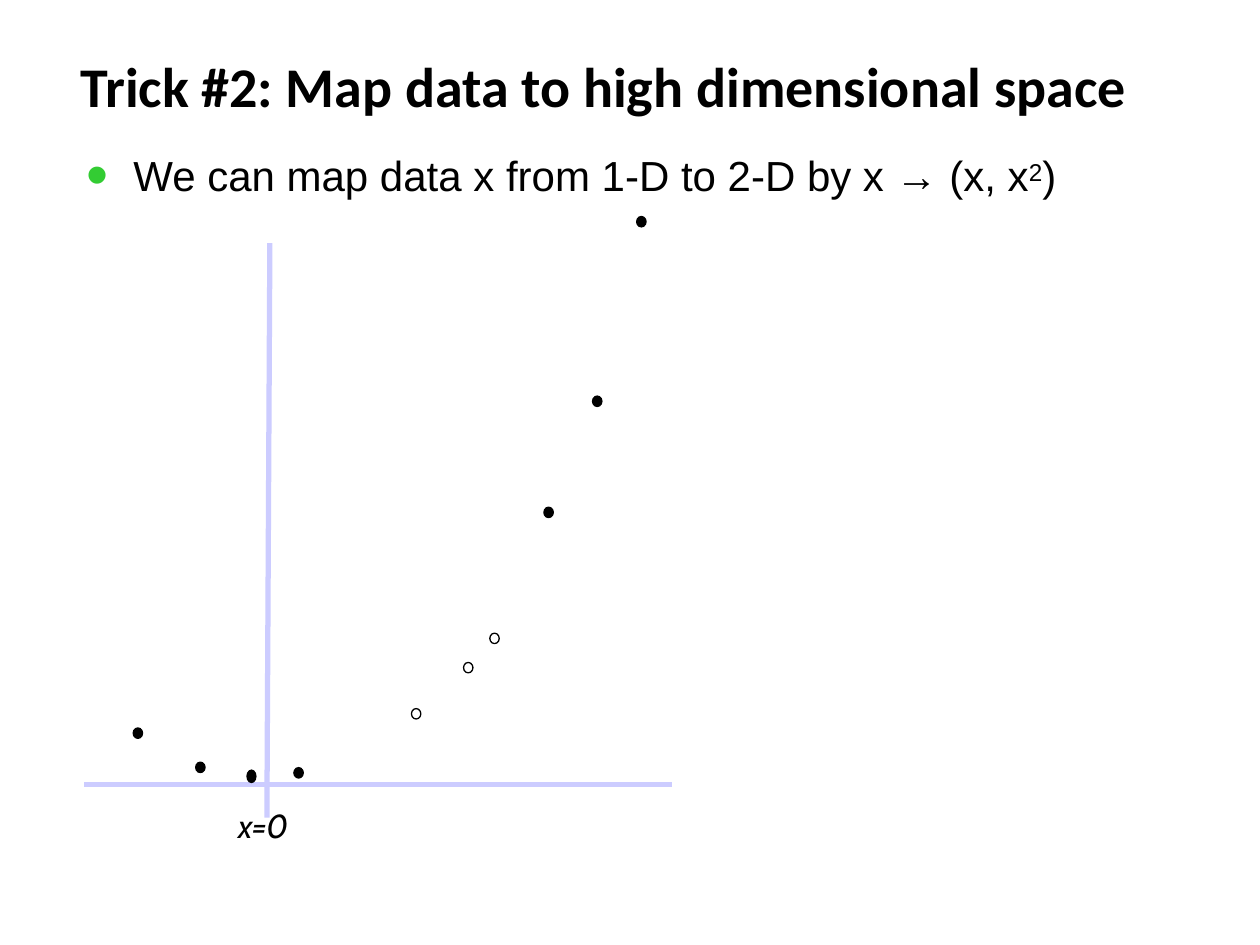
from dataclasses import dataclass

from pptx import Presentation
from pptx.dml.color import RGBColor as RGB
from pptx.enum.shapes import MSO_CONNECTOR as Link, MSO_SHAPE as Shape
from pptx.enum.text import MSO_ANCHOR as Anchor
from pptx.oxml.ns import qn
from pptx.util import Cm, Pt
from lxml.etree import SubElement as Sub


@dataclass(frozen=True)
class Theme:
    ink: RGB = RGB(0, 0, 0)
    axis: RGB = RGB(0xCC, 0xCC, 0xFF)
    bullet: str = "33CC33"
    title: int = 32
    body: int = 24
    label: int = 19
    axis_w: float = 3
    dot_w: float = 0.75


THEME = Theme()

# Centres of the mapped points, in cm
SOLID = [(2.78, 14.78), (4.04, 15.47), (6.02, 15.58),
         (11.06, 10.33), (12.04, 8.09), (12.93, 4.47)]
OPEN = [(8.39, 14.39), (9.44, 13.46), (9.97, 12.87)]
TALL = (5.07, 15.65)


def add_bullet(para):
    props = para._p.get_or_add_pPr()
    props.set("marL", str(Cm(0.99)))
    props.set("indent", str(Cm(-0.94)))
    Sub(Sub(props, qn("a:buClr")), qn("a:srgbClr")).set("val", THEME.bullet)
    Sub(props, qn("a:buSzPct")).set("val", "150000")
    Sub(props, qn("a:buFont")).set("typeface", "Arial")
    Sub(props, qn("a:buChar")).set("char", "•")


def add_text(slide, parts, box, size, font, bold=False, italic=False,
             wrap=True, anchor=Anchor.TOP, bullet=False, space=0):
    """Add one paragraph; parts are (text, baseline percent) pairs."""
    frame = slide.shapes.add_textbox(*map(Cm, box)).text_frame
    frame.margin_left = frame.margin_right = 0
    frame.margin_top = frame.margin_bottom = 0
    frame.word_wrap = wrap
    frame.vertical_anchor = anchor
    para = frame.paragraphs[0]
    if bullet:
        add_bullet(para)
    for text, base in parts:
        run = para.add_run()
        run.text = text
        face = run.font
        face.name, face.size = font, Pt(size)
        face.bold, face.italic = bold, italic
        face.color.rgb = THEME.ink
        props = run._r.get_or_add_rPr()
        if base:
            props.set("baseline", str(base * 1000))
        if space:
            props.set("spc", str(round(space * 100)))


def add_axis(slide, start, end):
    line = slide.shapes.add_connector(
        Link.STRAIGHT, *map(Cm, start), *map(Cm, end))
    line.line.color.rgb = THEME.axis
    line.line.width = Pt(THEME.axis_w)
    Sub(line._element.spPr, qn("a:effectLst"))


def add_dot(slide, mid, solid=True, wide=0.19, high=0.21):
    x, y = mid
    dot = slide.shapes.add_shape(
        Shape.OVAL, Cm(x - wide / 2), Cm(y - high / 2), Cm(wide), Cm(high))
    dot.shadow.inherit = False
    if solid:
        dot.fill.solid()
        dot.fill.fore_color.rgb = THEME.ink
    else:
        dot.fill.background()
    dot.line.color.rgb = THEME.ink
    dot.line.width = Pt(THEME.dot_w)


def main():
    deck = Presentation()
    deck.slide_width, deck.slide_height = Cm(25.4), Cm(19.05)
    slide = deck.slides.add_slide(deck.slide_layouts[6])

    add_text(slide, [("Trick #2: Map data to high dimensional space", 0)],
             (1.62, 1.04, 22.86, 1.37), THEME.title, "Calibri",
             bold=True, anchor=Anchor.MIDDLE)
    add_text(slide, [("We can map data x from 1-D to 2-D by x → (x, x", 0),
                     ("2", 24), (")", 0)],
             (1.7, 3.02, 19.9, 1.12), THEME.body, "Arial", bullet=True)

    add_axis(slide, (5.44, 4.9), (5.38, 16.48))
    add_axis(slide, (1.7, 15.82), (13.54, 15.82))
    for mid in SOLID:
        add_dot(slide, mid)
    for mid in OPEN:
        add_dot(slide, mid, solid=False)
    add_dot(slide, TALL, wide=0.18, high=0.25)

    add_text(slide, [("x=0", 0)], (4.8, 16.23, 1.19, 0.81), THEME.label,
             "Cabin", italic=True, wrap=False, space=-0.6)
    deck.save("out.pptx")


if __name__ == "__main__":
    main()
